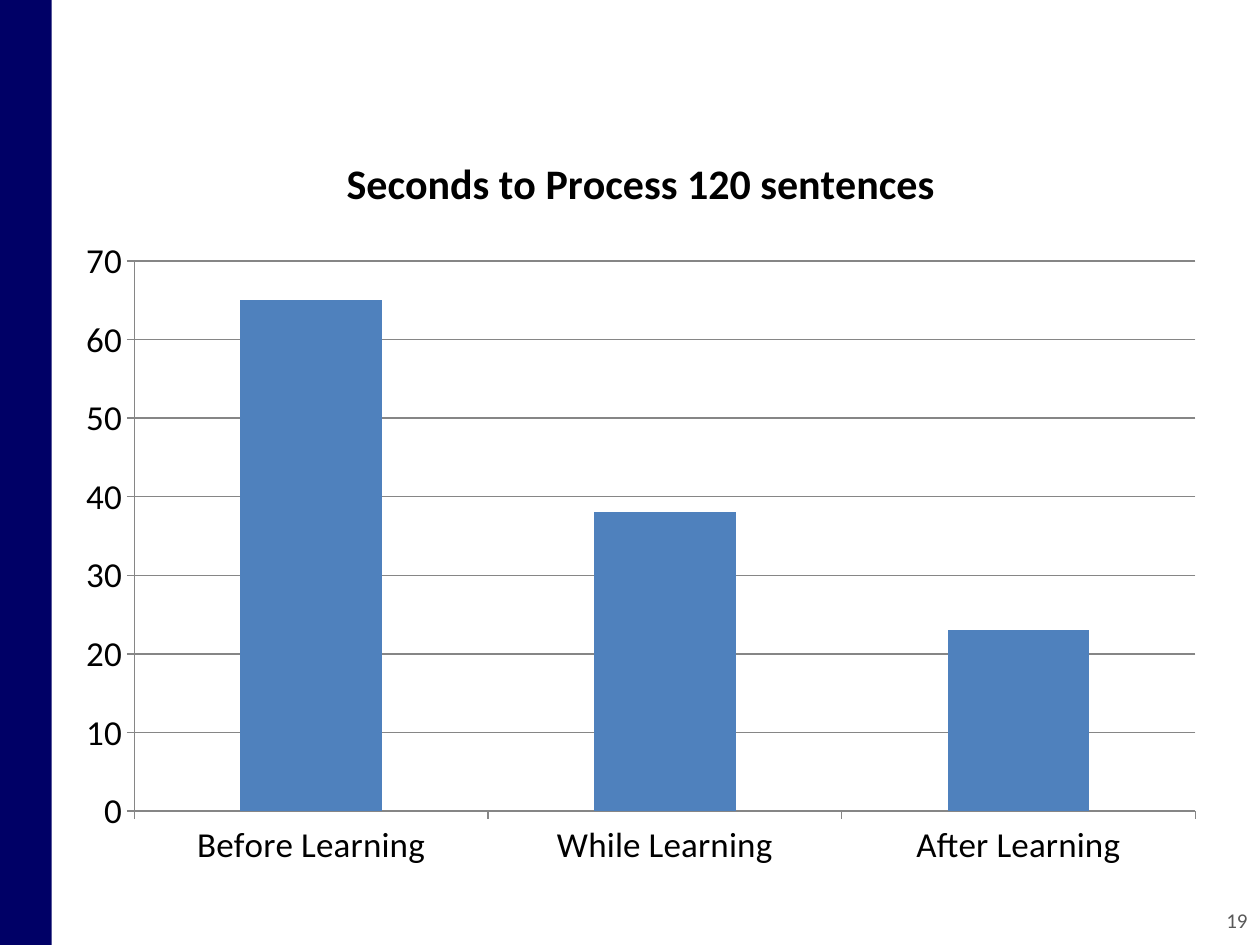
from pptx import Presentation
from pptx.chart.data import CategoryChartData
from pptx.dml.color import RGBColor
from pptx.enum.chart import XL_CHART_TYPE, XL_TICK_MARK
from pptx.enum.shapes import MSO_SHAPE
from pptx.enum.text import MSO_ANCHOR, PP_ALIGN
from pptx.util import Inches, Pt

COLORS = {
    "band": "000066",
    "bar": "4F81BD",
    "axis": "868686",
    "text": "000000",
    "number": "595959",
}
FONT = "Calibri"


def style_font(font, size, color, bold=False):
    font.name = FONT
    font.size = Pt(size)
    font.bold = bold
    font.color.rgb = RGBColor.from_string(COLORS[color])


presentation = Presentation()
presentation.slide_width = Inches(10)
presentation.slide_height = Inches(7.5)
slide = presentation.slides.add_slide(presentation.slide_layouts[6])

# Side band
band = slide.shapes.add_shape(
    MSO_SHAPE.RECTANGLE, Inches(-0.01), 0, Inches(0.42), presentation.slide_height
)
band.shadow.inherit = False
band.fill.solid()
band.fill.fore_color.rgb = RGBColor.from_string(COLORS["band"])
band.line.fill.background()

# Slide number
number_box = slide.shapes.add_textbox(Inches(7.67), Inches(7.1), Inches(2.33), Inches(0.4))
text_frame = number_box.text_frame
text_frame.word_wrap = True
text_frame.vertical_anchor = MSO_ANCHOR.MIDDLE
text_frame.text = "19"
paragraph = text_frame.paragraphs[0]
paragraph.alignment = PP_ALIGN.RIGHT
style_font(paragraph.runs[0].font, 12, "number")

# Processing time chart
chart_data = CategoryChartData()
chart_data.categories = ["Before Learning", "While Learning", "After Learning"]
chart_data.add_series("Series 1", [65, 38, 23])
chart = slide.shapes.add_chart(
    XL_CHART_TYPE.COLUMN_CLUSTERED,
    Inches(0.5), Inches(1), Inches(9.17), Inches(6), chart_data,
).chart
style_font(chart.font, 20, "text")
chart.has_legend = False
chart.has_title = True
title_frame = chart.chart_title.text_frame
title_frame.text = "Seconds to Process 120 sentences"
style_font(title_frame.paragraphs[0].runs[0].font, 24, "text", bold=True)
chart.chart_title.include_in_layout = False

plot = chart.plots[0]
plot.gap_width = 150
plot.vary_by_categories = False
bars = plot.series[0].format.fill
bars.solid()
bars.fore_color.rgb = RGBColor.from_string(COLORS["bar"])

value_axis = chart.value_axis
value_axis.minimum_scale = 0
value_axis.maximum_scale = 70
value_axis.major_unit = 10
value_axis.has_major_gridlines = True
for axis in (chart.category_axis, value_axis):
    axis.major_tick_mark = XL_TICK_MARK.OUTSIDE
    axis.minor_tick_mark = XL_TICK_MARK.NONE
for lines in (chart.category_axis, value_axis, value_axis.major_gridlines):
    lines.format.line.width = Pt(0.75)
    lines.format.line.color.rgb = RGBColor.from_string(COLORS["axis"])

presentation.save("out.pptx")
